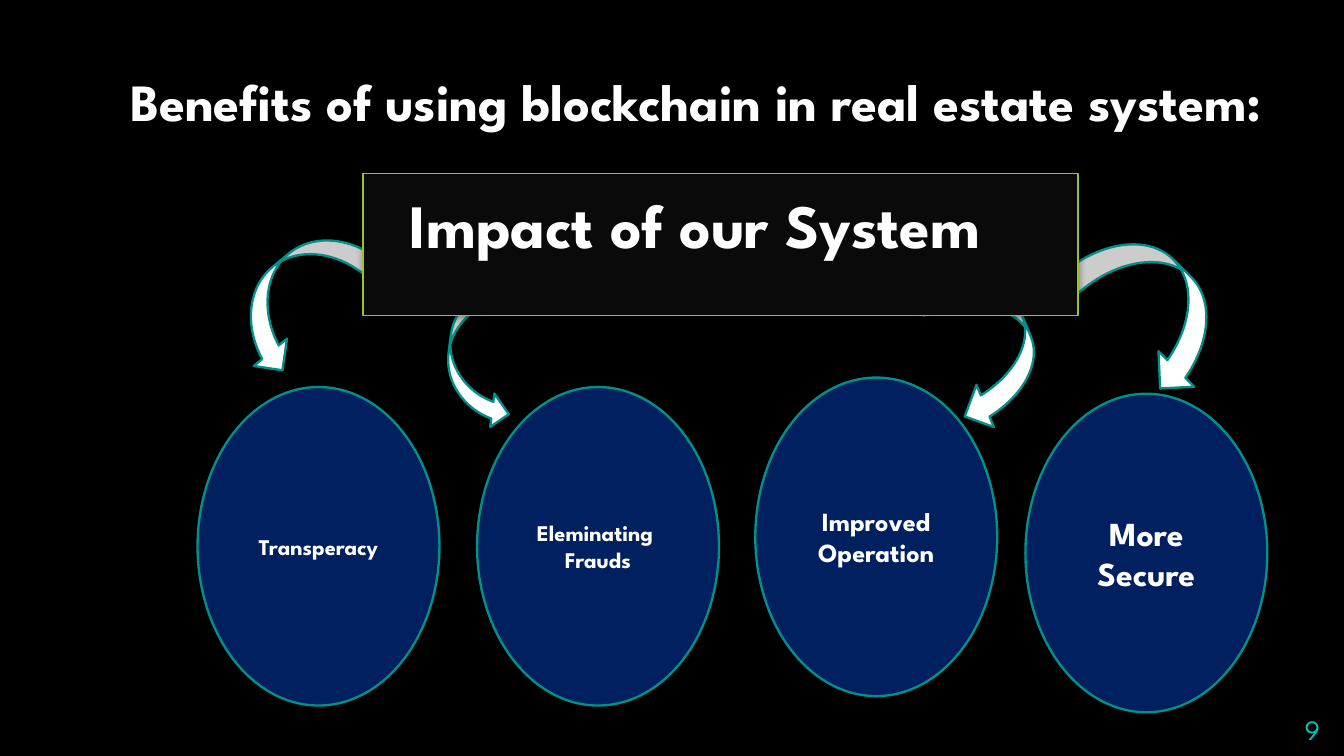
from lxml import etree
from pptx import Presentation
from pptx.dml.color import RGBColor
from pptx.enum.shapes import MSO_SHAPE as Shape
from pptx.enum.text import MSO_ANCHOR as Anchor, PP_ALIGN as Align
from pptx.oxml import parse_xml
from pptx.oxml.ns import nsdecls, qn
from pptx.util import Inches, Pt

FONT = "League Spartan"
BLACK = RGBColor(0, 0, 0)
WHITE = RGBColor(255, 255, 255)
PANEL = RGBColor(0x0A, 0x0A, 0x0A)
GREEN = RGBColor(0x94, 0xC6, 0x27)
TEAL = RGBColor(0x00, 0x92, 0x8A)
BRIGHT_TEAL = RGBColor(0x00, 0xC6, 0xBB)
NAVY = RGBColor(0x00, 0x20, 0x60)

SLIDE_WIDTH = 10
SLIDE_HEIGHT = SLIDE_WIDTH * 9 / 16
TITLE = "Benefits of using blockchain in real estate system:"
HEADING = "Impact of our System"
PAGE_NUMBER = "9"
# left, top, width, height, rotation, mirrored
ARROWS = [
    (7, 2.02, 0.68, 1.15, 337.7, True),
    (3.34, 2.07, 0.5, 1.11, 7, False),
    (8.19, 1.64, 0.75, 1.31, 314.8, True),
    (1.94, 1.58, 0.64, 1.26, 50.5, False),
]
# text, font size, left, top
BENEFITS = [
    ("More Secure", 18, 7.63, 2.93),
    ("Improved Operation", 14, 5.62, 2.81),
    ("Eleminating  Frauds", 12, 3.55, 2.88),
    ("Transperacy", 12, 1.47, 2.88),
]
BENEFIT_SIZE = (1.8, 2.37)


def add_filled_shape(slide, kind, box, fill, line, line_width):
    shape = slide.shapes.add_shape(kind, *map(Inches, box))
    shape.shadow.inherit = False
    shape.fill.solid()
    shape.fill.fore_color.rgb = fill
    shape.line.color.rgb = line
    shape.line.width = Pt(line_width)
    return shape


def write(shape, text, size, color=WHITE, bold=True, align=Align.LEFT,
          anchor=Anchor.TOP, inset=0.05):
    frame = shape.text_frame
    frame.word_wrap = True
    frame.vertical_anchor = anchor
    frame.margin_top = frame.margin_bottom = Inches(inset)
    paragraph = frame.paragraphs[0]
    paragraph.alignment = align
    run = paragraph.add_run()
    run.text = text
    run.font.name = FONT
    run.font.size = Pt(size)
    run.font.bold = bold
    run.font.color.rgb = color
    return paragraph


def add_soft_shadow(shape):
    effects = shape._element.spPr.find(qn("a:effectLst"))
    effects.append(parse_xml(
        f'<a:outerShdw {nsdecls("a")} blurRad="{Pt(4)}" dist="0" dir="14400000">'
        '<a:srgbClr val="000000"><a:alpha val="40000"/></a:srgbClr>'
        '</a:outerShdw>'))


def set_hanging_indent(paragraph, left, first):
    properties = paragraph._p.get_or_add_pPr()
    properties.set("marL", str(Inches(left)))
    properties.set("indent", str(Inches(first)))
    etree.SubElement(properties, qn("a:buNone"))


presentation = Presentation()
presentation.slide_width = Inches(SLIDE_WIDTH)
presentation.slide_height = Inches(SLIDE_HEIGHT)
slide = presentation.slides.add_slide(presentation.slide_layouts[6])
slide.background.fill.solid()
slide.background.fill.fore_color.rgb = BLACK

for *box, rotation, mirrored in ARROWS:
    arrow = add_filled_shape(slide, Shape.CURVED_RIGHT_ARROW, box, WHITE, TEAL, 1.25)
    arrow.rotation = rotation
    if mirrored:
        arrow._element.spPr.get_or_add_xfrm().set("flipH", "1")

panel = add_filled_shape(slide, Shape.RECTANGLE, (2.7, 1.29, 5.32, 1.06), PANEL, GREEN, 0.75)
add_soft_shadow(panel)
heading = write(panel, HEADING, 33, inset=0.1)
heading.space_before = Pt(3.6)
set_hanging_indent(heading, 0.5, -0.25)

number_box = slide.shapes.add_textbox(*map(Inches, (9.32, 5.2, 0.6, 0.34)))
write(number_box, PAGE_NUMBER, 15, BRIGHT_TEAL, False, Align.RIGHT, inset=0.1)

title_box = slide.shapes.add_textbox(*map(Inches, (0.87, 0.11, 8.8, 0.92)))
write(title_box, TITLE, 28, anchor=Anchor.BOTTOM)

for text, size, left, top in BENEFITS:
    ellipse = add_filled_shape(slide, Shape.OVAL, (left, top, *BENEFIT_SIZE), NAVY, TEAL, 1.25)
    write(ellipse, text, size, align=Align.CENTER, anchor=Anchor.MIDDLE)

presentation.save("out.pptx")
